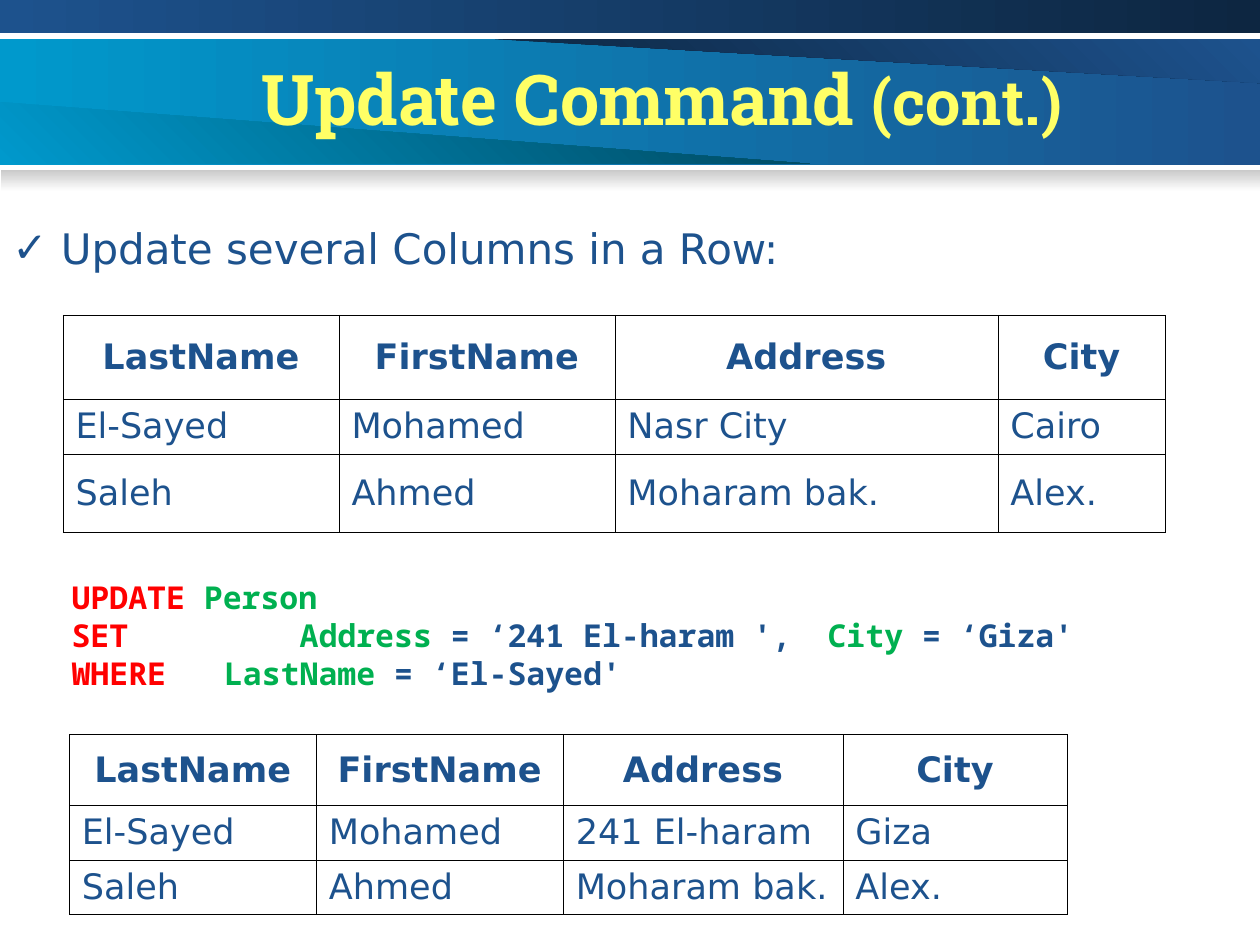
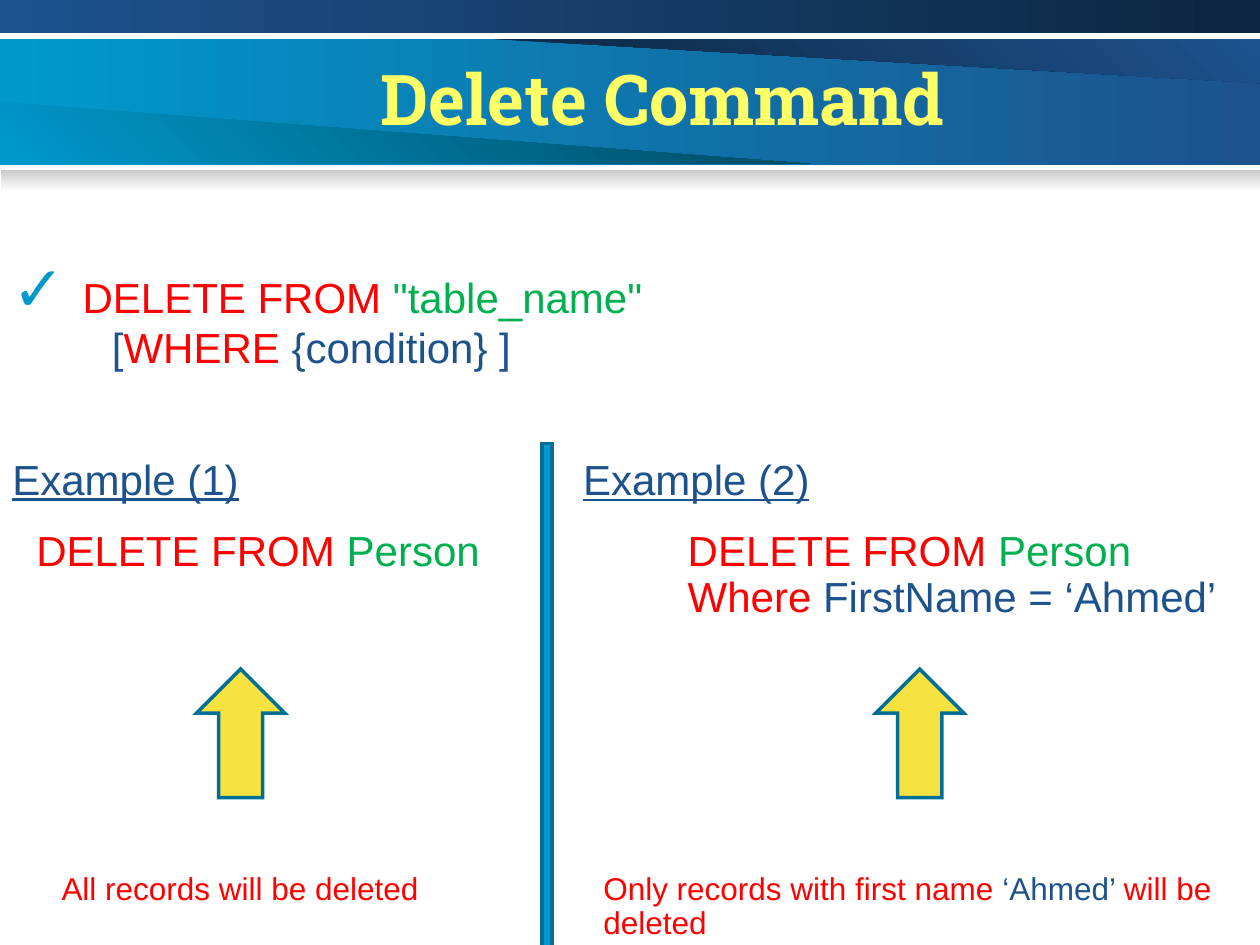
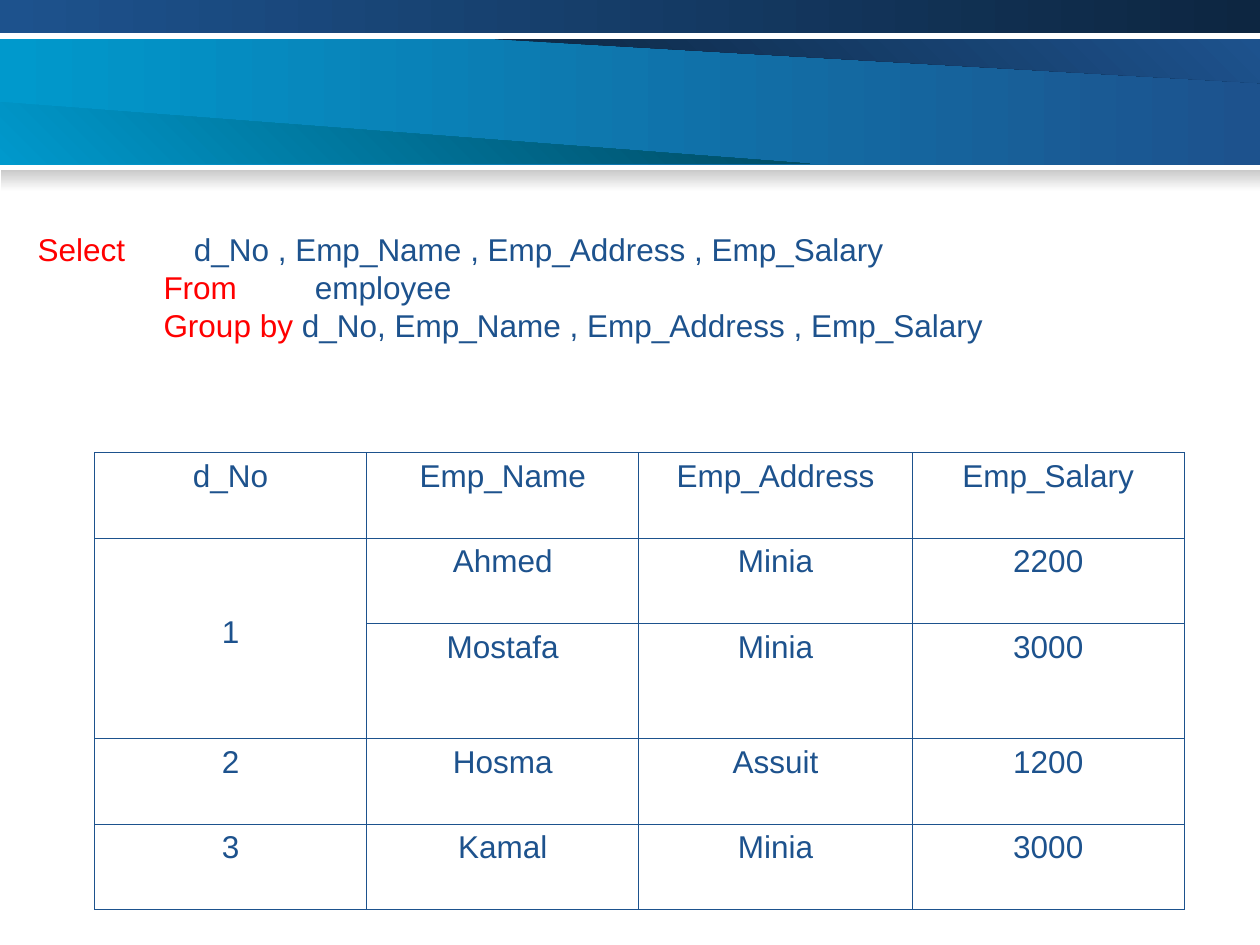
from pptx import Presentation
from pptx.dml.color import RGBColor
from pptx.enum.shapes import MSO_SHAPE
from pptx.enum.text import MSO_ANCHOR, MSO_AUTO_SIZE, PP_ALIGN
from pptx.oxml import parse_xml
from pptx.oxml.ns import nsdecls, qn
from pptx.util import Inches, Pt

# The grid has 10 columns and 7.5 rows, one inch each
COLS, ROWS = 10, 7.5
HUES = {
    "navy": "1D528D", "night": "0D2641", "sky": "0099CC", "teal": "00475E",
    "edge": "006F95", "gray": "CACACA", "white": "FFFFFF", "black": "000000",
    "lemon": "FFFF66", "gold": "F8E23F", "red": "FF0000", "green": "00B050",
}
SANS, WIDE, MONO, SLAB = "Arial", "DejaVu Sans", "Noto Sans Mono", "Roboto Slab"


def rgb(hue):
    return RGBColor.from_string(HUES[hue])


def grid(*cells):
    return [Inches(cell) for cell in cells]


# Shapes
def blend(shape, start, end, angle=0):
    shape.shadow.inherit = False
    shape.line.fill.background()
    shape.fill.gradient()
    shape.fill.gradient_angle = angle
    for stop, hue in zip(shape.fill.gradient_stops, (start, end)):
        stop.color.rgb = rgb(hue)


def band(slide, place, start, end, angle=0):
    shape = slide.shapes.add_shape(MSO_SHAPE.RECTANGLE, *grid(*place))
    blend(shape, start, end, angle)


def wedge(slide, points, start, end):
    first, *rest = [grid(*point) for point in points]
    path = slide.shapes.build_freeform(*first)
    path.add_line_segments(rest, close=True)
    blend(path.convert_to_shape(), start, end, 45)


def solid(slide, kind, place, fill):
    shape = slide.shapes.add_shape(kind, *grid(*place))
    shape.shadow.inherit = False
    shape.fill.solid()
    shape.fill.fore_color.rgb = rgb(fill)
    shape.line.color.rgb = rgb("edge")
    shape.line.width = Pt(2)
    line = shape.element.spPr.find(qn("a:ln"))
    line.append(parse_xml(f'<a:miter {nsdecls("a")} lim="800000"/>'))


# Text
def text_box(slide, place, anchor=MSO_ANCHOR.TOP):
    frame = slide.shapes.add_textbox(*grid(*place)).text_frame
    frame.word_wrap = True
    frame.auto_size = MSO_AUTO_SIZE.SHAPE_TO_FIT_TEXT
    frame.vertical_anchor = anchor
    return frame


def style(para, face, size, hue="navy", bold=False):
    font = para.font
    font.name, font.size, font.bold = face, Pt(size), bold
    font.color.rgb = rgb(hue)


def say(frame, runs, face=SANS, size=18, bold=False, lead=None, left=0,
        tabs=(), tick=None):
    """Add a paragraph; each run is (text, hue[, size]) or a line break."""
    para = frame.paragraphs[0]
    if para.runs:
        para = frame.add_paragraph()
    style(para, face, size, bold=bold)
    if lead is not None:
        para.line_spacing, para.space_before = 0.9, Pt(lead)
    for item in runs:
        if item == "\n":
            para.add_line_break()
            continue
        words, hue, *big = item
        run = para.add_run()
        run.text = words
        run.font.color.rgb = rgb(hue)
        if big:
            run.font.size = Pt(big[0])
    indent(para, left, tabs, tick)
    return para


def indent(para, left, tabs, tick):
    props = para._p.get_or_add_pPr()
    parts = []
    if left:
        props.set("marL", str(Inches(left)))
    if tick:
        props.set("indent", str(-Inches(left)))
        parts += [f'<a:buClr {nsdecls("a")}><a:srgbClr val="{HUES[tick]}"/></a:buClr>',
                  f'<a:buFont {nsdecls("a")} typeface="{WIDE}"/>',
                  f'<a:buChar {nsdecls("a")} char="✓"/>']
    if tabs:
        props.set("defTabSz", str(Inches(tabs[0])))
        stops = "".join(f'<a:tab pos="{Inches(tab)}" algn="l"/>' for tab in tabs)
        parts.append(f'<a:tabLst {nsdecls("a")}>{stops}</a:tabLst>')
    for part in parts:
        props.find(qn("a:defRPr")).addprevious(parse_xml(part))


def title(slide, *runs):
    frame = text_box(slide, (0.51, 0.39, 9.49, 0.77))
    say(frame, runs, SLAB, 40, True).alignment = PP_ALIGN.CENTER


# Tables
def border(cell, hue, width):
    props = cell._tc.get_or_add_tcPr()
    for spot, side in enumerate("LRTB"):
        props.insert(spot, parse_xml(
            f'<a:ln{side} {nsdecls("a")} w="{Pt(width)}"><a:solidFill>'
            f'<a:srgbClr val="{HUES[hue]}"/></a:solidFill></a:ln{side}>'))


def table(slide, spot, wide, high, data, face, size, line, head):
    """With head, the first row is bold and only it is centred."""
    place = grid(*spot, sum(wide), sum(high))
    sheet = slide.shapes.add_table(len(high), len(wide), *place).table
    sheet.first_row = sheet.horz_banding = False
    for col, width in zip(sheet.columns, wide):
        col.width = Inches(width)
    for row, height, words in zip(sheet.rows, high, data):
        row.height = Inches(height)
        top = head and words is data[0]
        for cell, word in zip(row.cells, words):
            cell.fill.background()
            border(cell, *line)
            cell.vertical_anchor = MSO_ANCHOR.MIDDLE if head else MSO_ANCHOR.TOP
            cell.text = word
            para = cell.text_frame.paragraphs[0]
            style(para, face, size, bold=top)
            para.alignment = PP_ALIGN.CENTER if top or not head else PP_ALIGN.LEFT
    return sheet


def people(slide, spot, wide, high, *homes):
    names = [("El-Sayed", "Mohamed"), ("Saleh", "Ahmed")]
    data = [("LastName", "FirstName", "Address", "City")]
    data += [name + home for name, home in zip(names, homes)]
    table(slide, spot, wide, high, data, WIDE, 20, ("black", 0.34), True)


# Header shared by all slides, kept on their layout
def header(slide):
    band(slide, (0, 0.31, COLS, 1), "sky", "navy")
    wedge(slide, [(3.93, 0.31), (COLS, 0.66), (COLS, 0.31)], "night", "navy")
    wedge(slide, [(0, 0.81), (6.43, 1.3), (0, 1.3)], "sky", "teal")
    band(slide, (0, 0, COLS, 0.26), "navy", "night")
    band(slide, (0.01, 1.35, COLS - 0.01, 0.17), "gray", "white", 270)
    for shape in list(slide.shapes):
        slide.slide_layout.shapes.element.append(shape.element)


# Slides
def update(slide):
    title(slide, ("Update Command ", "lemon"), ("(cont.)", "lemon", 36))
    say(text_box(slide, (0, 1.72, COLS, 1.11)),
        [(" ", "navy"), ("Update several Columns in a Row:", "navy")],
        WIDE, 24, left=0.24, tick="navy")
    code = text_box(slide, (0.47, 4.54, 8.44, 1))
    for runs, tabs in [
        ([("UPDATE ", "red"), ("Person", "green")], ()),
        ([("SET\t", "red"), ("Address", "green"), (" = ‘241 El-haram ',\t", "navy"),
          ("City", "green"), (" = ‘Giza'", "navy")], (1.81, 6)),
        ([("WHERE\t", "red"), ("LastName", "green"), (" = ‘El-Sayed'", "navy")],
         (1.21,)),
    ]:
        say(code, runs, MONO, bold=True, tabs=tabs)
    last = ("Moharam bak.", "Alex.")
    people(slide, (0.5, 2.5), (2.19, 2.19, 3.04, 1.33), (0.67, 0.43, 0.62),
           ("Nasr City", "Cairo"), last)
    people(slide, (0.55, 5.83), (1.96, 1.96, 2.22, 1.78), (0.56, 0.43, 0.43),
           ("241 El-haram", "Giza"), last)


def example(slide, place, name, left, runs, note, words, arrow):
    frame = text_box(slide, place, MSO_ANCHOR.MIDDLE)
    say(frame, [(name, "navy")], size=24, lead=15).font.underline = True
    say(frame, [("DELETE FROM ", "red"), ("Person", "green"), *runs],
        size=24, lead=15, left=left)
    say(text_box(slide, note), words, lead=11.2)
    solid(slide, MSO_SHAPE.UP_ARROW, (arrow, 5.31, 0.7, 1.02), "gold")


def delete(slide):
    title(slide, ("Delete Command", "lemon"))
    frame = text_box(slide, (0, 2.01, COLS, 1.61))
    say(frame, [(" ", "navy", 36), ("DELETE FROM ", "red"),
                ('"table_name"', "green")],
        size=24, lead=15, left=0.41, tick="sky")
    say(frame, [("[", "navy"), ("WHERE", "red"), (" {condition} ]", "navy")],
        size=24, lead=0, left=0.79)
    solid(slide, MSO_SHAPE.RECTANGLE, (4.3, 3.52, 0.08, 4.06), "sky")
    example(slide, (0, 3.59, 4.06, 1.03), "Example (1)", 0.19, [],
            (0.39, 6.88, 3.36, 0.37), [("All records will be deleted", "red")], 1.56)
    example(slide, (4.53, 3.59, 5.39, 1.39), "Example (2)", 0.83,
            ["\n", ("Where", "red"), (" FirstName = ‘Ahmed’", "navy")],
            (4.69, 6.88, 5.63, 0.64),
            [("Only records with first name ", "red"), ("‘Ahmed’ ", "navy"),
             ("will be deleted", "red")], 6.95)


def group(slide):
    data = [("d_No", "Emp_Name", "Emp_Address", "Emp_Salary"),
            ("1", "Ahmed", "Minia", "2200"),
            ("", "Mostafa", "Minia", "3000"),
            ("2", "Hosma", "Assuit", "1200"),
            ("3", "Kamal", "Minia", "3000")]
    sheet = table(slide, (0.75, 3.59), (2.16, 2.16, 2.17, 2.16),
                  (0.68, 0.68, 0.91, 0.68, 0.68),
                  data, SANS, 18, ("navy", 0.45), False)
    first = sheet.cell(1, 0)
    first.merge(sheet.cell(2, 0))
    first.vertical_anchor = MSO_ANCHOR.MIDDLE
    first.margin_bottom = Inches(0.14)
    query = text_box(slide, (0.2, 1.78, 9.8, 1))
    for key, rest, tabs in [
        ("Select\t", "d_No , Emp_Name , Emp_Address , Emp_Salary", (1.24,)),
        ("\tFrom\t", "employee", (1, 2.2)),
        ("\tGroup by", " d_No, Emp_Name , Emp_Address , Emp_Salary", (1,)),
    ]:
        say(query, [(key, "red"), (rest, "navy")], tabs=tabs)


def main():
    deck = Presentation()
    deck.slide_width, deck.slide_height = grid(COLS, ROWS)
    blank = deck.slide_layouts[6]
    pages = [deck.slides.add_slide(blank) for _ in range(3)]
    header(pages[0])
    for draw, page in zip((update, delete, group), pages):
        draw(page)
    deck.save("out.pptx")


if __name__ == "__main__":
    main()
